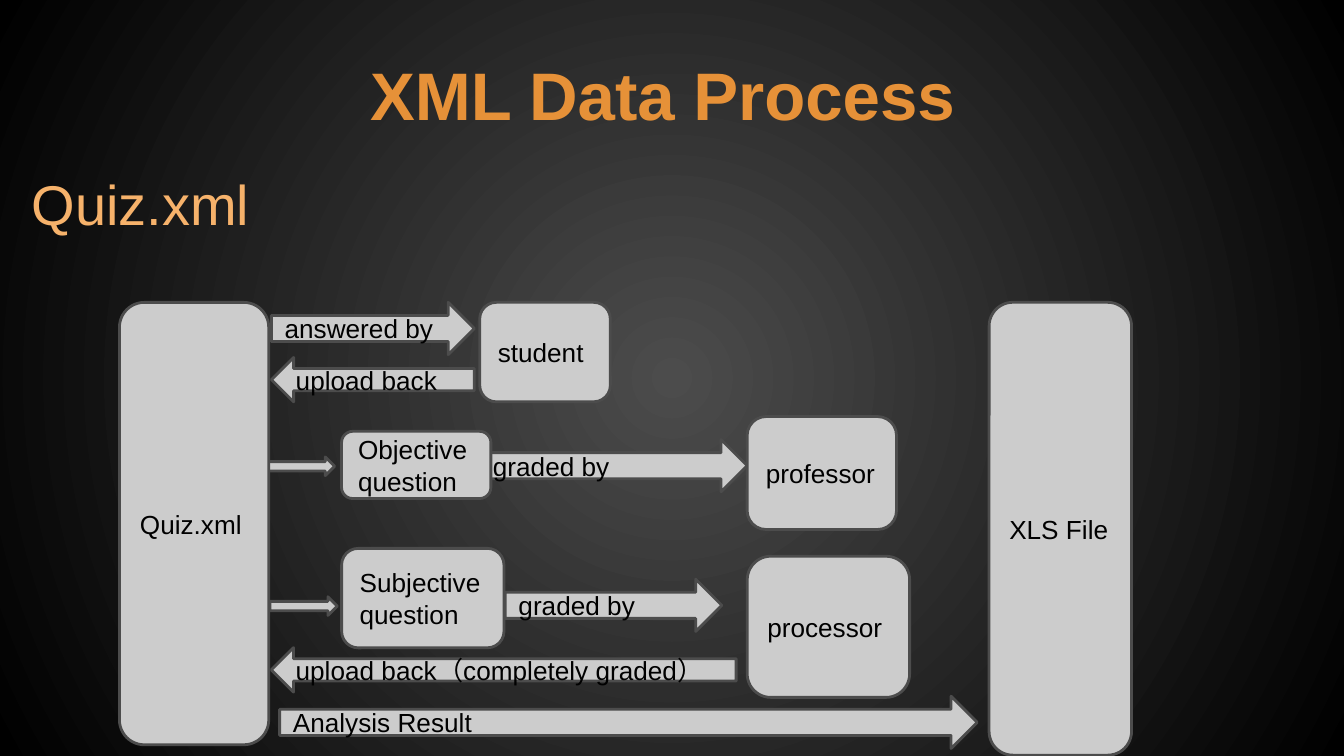
import pptx
import pptx.dml.color
import pptx.enum.shapes
import pptx.enum.text
import pptx.util
from lxml import etree

Pt = pptx.util.Pt
Shape = pptx.enum.shapes.MSO_SHAPE
Anchor = pptx.enum.text.MSO_ANCHOR
Align = pptx.enum.text.PP_ALIGN

COLORS = {
    "glow": "4C4C4C",
    "edge": "000000",
    "title": "E69138",
    "heading": "F6B26B",
    "fill": "CCCCCC",
    "outline": "4C4C4C",
    "label": "000000",
}
FONT = "Arial"
INSET = 7.2


def color(name):
    return pptx.dml.color.RGBColor.from_string(COLORS[name])


def write(shape, text, size, tone, anchor, align=Align.LEFT, bold=False):
    """Put one run of text in a shape, with even insets."""
    frame = shape.text_frame
    frame.word_wrap = True
    frame.auto_size = pptx.enum.text.MSO_AUTO_SIZE.NONE
    frame.vertical_anchor = anchor
    frame.margin_left = frame.margin_right = Pt(INSET)
    frame.margin_top = frame.margin_bottom = Pt(INSET)
    para = frame.paragraphs[0]
    para.alignment = align
    span = para.add_run()
    span.text = text
    span.font.name = FONT
    span.font.size = Pt(size)
    span.font.bold = bold
    span.font.color.rgb = color(tone)


def paint_background(page):
    """Radial gradient, from a grey centre to black edges."""
    fill = page.background.fill
    fill.gradient()
    for stop, tone in zip(fill.gradient_stops, ("glow", "edge")):
        stop.color.rgb = color(tone)
    linear = page.element.xpath(".//p:bg//a:lin")[0]
    namespace = "{%s}" % etree.QName(linear).namespace
    radial = etree.Element(namespace + "path", path="circle")
    etree.SubElement(radial, namespace + "fillToRect",
                     {side: "50000" for side in "ltrb"})
    linear.getparent().replace(linear, radial)


def add_title(page, box):
    title = page.shapes.title
    title.left, title.top, title.width, title.height = map(Pt, box)
    write(title, "XML Data Process ", 36, "title", Anchor.BOTTOM,
          Align.CENTER, bold=True)


def add_heading(page, box):
    heading = page.shapes.add_textbox(*map(Pt, box))
    write(heading, "Quiz.xml", 30, "heading", Anchor.TOP)


def add_block(page, kind, box, text):
    block = page.shapes.add_shape(kind, *map(Pt, box))
    block.shadow.inherit = False
    block.fill.solid()
    block.fill.fore_color.rgb = color("fill")
    block.line.color.rgb = color("outline")
    block.line.width = Pt(1.5)
    if text:
        write(block, text, 14, "label", Anchor.MIDDLE)


def add_flow(page, box):
    """Arrows and boxes of the process; offsets count from the box corner."""
    left, top, width, height = box
    step_x, actor_x = 119, 336.3        # question and grader columns
    back_x = 81.4                       # left end of the student arrows
    thick, medium, thin = 28, 23.8, 10  # arrow heights
    file_width = 76.3

    # Arrows: kind, left, top, width, height, text
    right, back = Shape.RIGHT_ARROW, Shape.LEFT_ARROW
    arrows = [
        (right, back_x, 0, 108.7, thick, "answered by"),
        (back, back_x, 29.5, 108.7, medium, "upload back"),
        (right, 79.3, 82.8, 36, thin, ""),
        (right, 193, 73.5, 143.3, thick, "graded by"),
        (right, 80.7, 157.7, 36, thin, ""),
        (right, 206.7, 148.3, 116, thick, "graded by"),
        (back, back_x, 185, 249, medium, "upload back（completely graded）"),
        (right, 85.8, 211, 373.7, thick, "Analysis Result"),
    ]
    # Boxes: left, top, width, height, text
    boxes = [
        (0, 0, 80, 237, "Quiz.xml"),
        (193, 0, 70, 53.3, "student"),
        (step_x, 69.1, 80, 36, "Objective question"),
        (step_x, 131.8, 87, 53.3, "Subjective question"),
        (actor_x, 61.2, 80, 60.5, "professor"),
        (actor_x, 136, 87, 75.6, "processor"),
        (width - file_width, 0, file_width, height, "XLS File"),
    ]
    blocks = arrows + [(Shape.ROUNDED_RECTANGLE, *item) for item in boxes]
    for kind, x, y, block_width, block_height, text in blocks:
        add_block(page, kind,
                  (left + x, top + y, block_width, block_height), text)


def main():
    deck = pptx.Presentation()
    deck.slide_width, deck.slide_height = Pt(720), Pt(405)
    page = deck.slides.add_slide(deck.slide_layouts.get_by_name("Title Only"))
    paint_background(page)
    add_title(page, (36, 11.5, 648, 67.7))
    add_heading(page, (10, 83.5, 648, 293))
    add_flow(page, (64, 162, 542.2, 242.6))
    deck.save("out.pptx")


if __name__ == "__main__":
    main()
